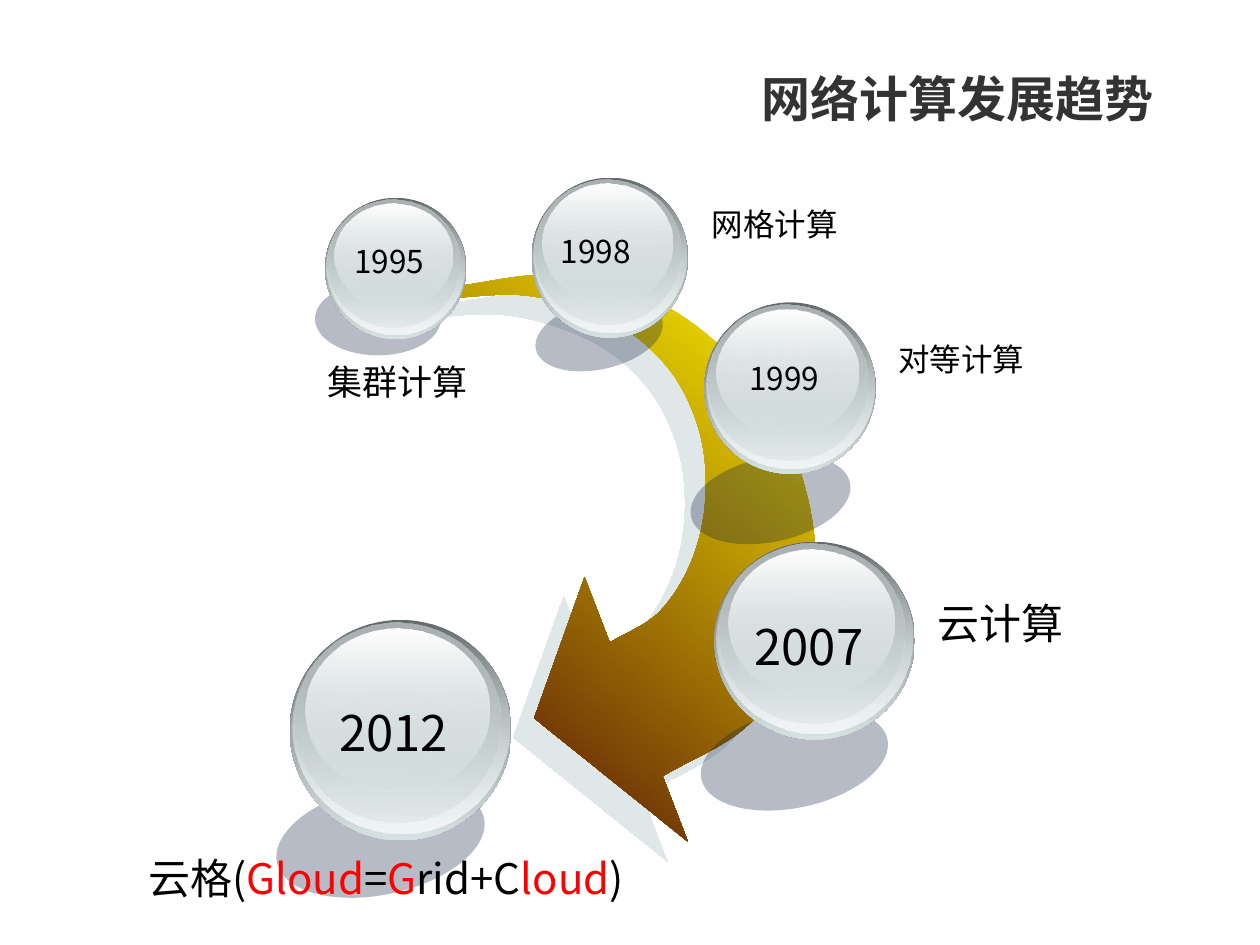
from typing import NamedTuple

from lxml import etree
from pptx import Presentation
from pptx.dml.color import RGBColor
from pptx.enum.shapes import MSO_SHAPE
from pptx.enum.text import MSO_ANCHOR, PP_ALIGN
from pptx.oxml import parse_xml
from pptx.oxml.ns import nsdecls, qn
from pptx.util import Inches, Pt

FONT = "Noto Sans CJK SC"
OVAL = MSO_SHAPE.OVAL
MIDDLE = MSO_ANCHOR.MIDDLE
LEFT, CENTER, RIGHT = PP_ALIGN.LEFT, PP_ALIGN.CENTER, PP_ALIGN.RIGHT

BLACK = RGBColor(0x00, 0x00, 0x00)
RED = RGBColor(0xFF, 0x00, 0x00)
WHITE = RGBColor(0xFF, 0xFF, 0xFF)
TITLE_GRAY = RGBColor(0x33, 0x33, 0x33)
YELLOW = RGBColor(0xFF, 0xF2, 0x00)
BROWN = RGBColor(0x4D, 0x08, 0x08)
ARROW_SHADOW = RGBColor(0xC1, 0xD1, 0xD3)
BALL_SHADOW = RGBColor(0x0F, 0x21, 0x45)
RIM_GRAY = RGBColor(0x63, 0x68, 0x69)
MID_GRAY = RGBColor(0xAA, 0xB2, 0xB3)
GLASS = RGBColor(0xD6, 0xE1, 0xE2)
PALE_GLASS = RGBColor(0xF1, 0xF5, 0xF5)


class BallLayer(NamedTuple):
    dx: float
    dy: float
    width: float
    height: float
    top_color: RGBColor
    bottom_color: RGBColor
    top_alpha: int = 100
    bottom_alpha: int = 100


class Milestone(NamedTuple):
    year: str
    year_size: int
    year_box: tuple
    ball: tuple
    shade_box: tuple
    shade_tilt: float
    label: list
    label_size: int
    label_box: tuple


def set_gradient(shape, angle, start, end, start_alpha=100, end_alpha=100):
    shape.line.fill.background()
    shape.shadow.inherit = False
    shape.fill.background()
    stops = "".join(
        f'<a:gs pos="{position}"><a:srgbClr val="{color}">'
        f'<a:alpha val="{alpha * 1000}"/></a:srgbClr></a:gs>'
        for position, color, alpha in ((0, start, start_alpha), (100000, end, end_alpha))
    )
    gradient = parse_xml(
        f'<a:gradFill {nsdecls("a")} rotWithShape="1"><a:gsLst>{stops}</a:gsLst>'
        f'<a:lin ang="{angle * 60000}" scaled="0"/></a:gradFill>'
    )
    properties = shape.element.spPr
    properties.replace(properties.find(qn("a:noFill")), gradient)


def add_text(shapes, box, parts, size, align=LEFT, bold=False):
    textbox = shapes.add_textbox(*(Inches(value) for value in box))
    frame = textbox.text_frame
    frame.word_wrap = True
    paragraph = frame.paragraphs[0]
    paragraph.alignment = align
    for text, color in parts:
        run = paragraph.add_run()
        run.text = text
        run.font.size = Pt(size)
        run.font.bold = bold
        run.font.name = FONT
        run.font.color.rgb = color
        etree.SubElement(run.font._element, qn("a:ea"), typeface=FONT)
    return frame


prs = Presentation()
prs.slide_width = Inches(10)
prs.slide_height = Inches(7.5)
slide = prs.slides.add_slide(prs.slide_layouts[6])

title = add_text(slide.shapes, (1.32, 0.36, 7.93, 0.83),
                 [("网络计算发展趋势", TITLE_GRAY)], 28, RIGHT, bold=True)
title.vertical_anchor = MIDDLE

OUTER_KNOTS = [(3.57, 2.28), (4.41, 2.18), (5.14, 2.36), (5.73, 2.76), (6.16, 3.31),
               (6.41, 3.95), (6.47, 4.62), (6.31, 5.25), (5.91, 5.78), (5.26, 6.16)]
ARROWHEAD = [(5.46, 6.68), (4.24, 5.7), (4.64, 4.58)]
INNER_KNOTS = [(4.84, 5.1), (5.23, 4.86), (5.49, 4.45), (5.6, 3.95), (5.55, 3.42),
               (5.31, 2.93), (4.87, 2.56), (4.21, 2.35), (3.5, 2.37)]
STEPS = 8

# Each edge is a Catmull-Rom spline; its end knots are extended by reflection.
smooth_edges = []
for knots in (OUTER_KNOTS, INNER_KNOTS):
    before = tuple(2 * end - inner for end, inner in zip(knots[0], knots[1]))
    after = tuple(2 * end - inner for end, inner in zip(knots[-1], knots[-2]))
    guide = [before, *knots, after]
    edge = [knots[0]]
    for neighbours in zip(guide, guide[1:], guide[2:], guide[3:]):
        for step in range(1, STEPS + 1):
            t = step / STEPS
            edge.append(tuple(
                b + t * (c - a) / 2
                + t ** 2 * (2 * a - 5 * b + 4 * c - d) / 2
                + t ** 3 * (3 * b - a - 3 * c + d) / 2
                for a, b, c, d in zip(*neighbours)
            ))
    smooth_edges.append(edge)
outer_edge, inner_edge = smooth_edges

outline = [(Inches(x), Inches(y)) for x, y in outer_edge + ARROWHEAD + inner_edge]
builder = slide.shapes.build_freeform(*outline[0])
builder.add_line_segments(outline[1:], close=True)
arrow = builder.convert_to_shape()
set_gradient(arrow, 130, YELLOW, BROWN)
arrow.element.spPr.find(qn("a:effectLst")).append(parse_xml(
    f'<a:outerShdw {nsdecls("a")} blurRad="0" dist="{Pt(16.3)}" dir="{137 * 60000}" '
    f'algn="ctr" rotWithShape="0"><a:srgbClr val="{ARROW_SHADOW}">'
    f'<a:alpha val="50000"/></a:srgbClr></a:outerShdw>'
))

BALL_LAYERS = [
    BallLayer(0, 0, 1, 1, RIM_GRAY, GLASS),
    BallLayer(0.01, 0, 0.98, 0.97, GLASS, PALE_GLASS, top_alpha=0),
    BallLayer(0.02, 0.01, 0.93, 0.91, MID_GRAY, GLASS, bottom_alpha=48),
    BallLayer(0.07, 0.04, 0.83, 0.74, WHITE, GLASS, bottom_alpha=38),
]
GLOUD_LABEL = [("云格(", BLACK), ("Gloud", RED), ("=", BLACK), ("G", RED),
               ("rid+C", BLACK), ("loud", RED), (")", BLACK)]
MILESTONES = [
    Milestone(year="1995", year_size=18, year_box=(2.69, 1.87, 0.8, 0.4),
              ball=(2.58, 1.57, 1.12, 1.12),
              shade_box=(2.5, 2.24, 1, 0.58), shade_tilt=0,
              label=[("集群计算", BLACK)], label_size=20, label_box=(2.5, 2.81, 1.38, 0.44)),
    Milestone(year="1998", year_size=18, year_box=(4.33, 1.79, 0.8, 0.4),
              ball=(4.22, 1.41, 1.24, 1.27),
              shade_box=(4.24, 2.39, 1.03, 0.54), shade_tilt=-12.9,
              label=[("网格计算", BLACK)], label_size=18, label_box=(5.55, 1.58, 1.95, 0.4)),
    Milestone(year="1999", year_size=18, year_box=(5.73, 2.8, 0.99, 0.4),
              ball=(5.59, 2.4, 1.36, 1.36),
              shade_box=(5.47, 3.63, 1.29, 0.67), shade_tilt=-12.1,
              label=[("对等计算", BLACK)], label_size=18, label_box=(7.03, 2.65, 2.04, 0.4)),
    Milestone(year="2007", year_size=28, year_box=(5.84, 4.84, 1.16, 0.57),
              ball=(5.67, 4.3, 1.59, 1.57),
              shade_box=(5.55, 5.64, 1.51, 0.77), shade_tilt=-12.1,
              label=[("云计算", BLACK)], label_size=24, label_box=(7.34, 4.69, 1.7, 0.5)),
    Milestone(year="2012", year_size=28, year_box=(2.48, 5.53, 1.29, 0.57),
              ball=(2.3, 4.92, 1.76, 1.75),
              shade_box=(2.18, 6.24, 1.68, 0.86), shade_tilt=-12.1,
              label=GLOUD_LABEL, label_size=24, label_box=(1.08, 6.72, 5.94, 0.5)),
]
for milestone in MILESTONES:
    group = slide.shapes.add_group_shape().shapes
    shade = group.add_shape(OVAL, *(Inches(value) for value in milestone.shade_box))
    shade.rotation = milestone.shade_tilt
    shade.shadow.inherit = False
    shade.line.fill.background()
    shade.fill.solid()
    shade.fill.fore_color.rgb = BALL_SHADOW
    shade_color = shade.element.spPr.find(qn("a:solidFill"))[0]
    etree.SubElement(shade_color, qn("a:alpha"), val="30000")

    left, top, width, height = milestone.ball
    for layer in BALL_LAYERS:
        glass = group.add_shape(
            OVAL, Inches(left + layer.dx * width), Inches(top + layer.dy * height),
            Inches(layer.width * width), Inches(layer.height * height))
        set_gradient(glass, 90, layer.top_color, layer.bottom_color,
                     layer.top_alpha, layer.bottom_alpha)

    add_text(group, milestone.year_box, [(milestone.year, BLACK)],
             milestone.year_size, CENTER)
    add_text(group, milestone.label_box, milestone.label, milestone.label_size)

prs.save("out.pptx")
